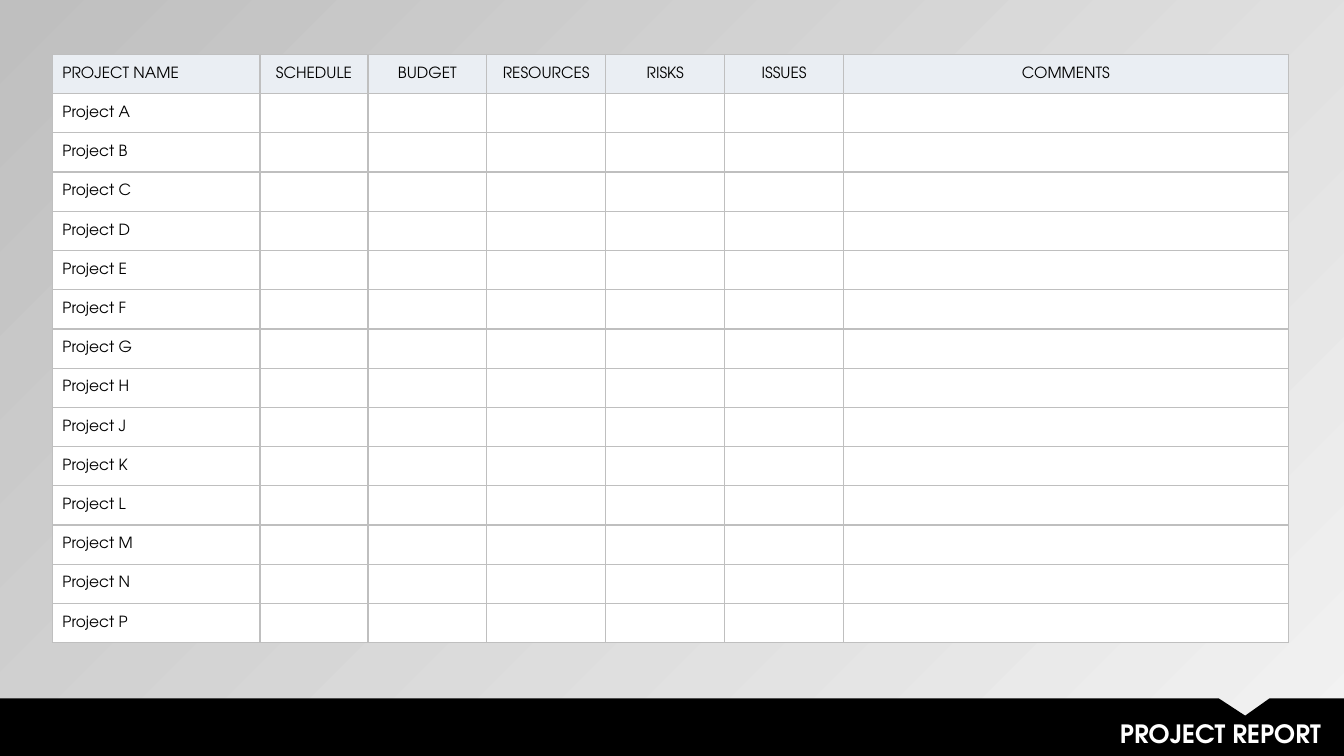
import dataclasses
import typing

import lxml.etree
import pptx
import pptx.dml.color
import pptx.enum.text
import pptx.oxml.ns
import pptx.util

Rgb = pptx.dml.color.RGBColor.from_string
Align = pptx.enum.text.PP_ALIGN
Anchor = pptx.enum.text.MSO_ANCHOR


@dataclasses.dataclass(frozen=True)
class Theme:
    font: str = "TeX Gyre Adventor"
    cell: int = 11
    title: int = 18
    black: str = "000000"
    white: str = "FFFFFF"
    head: str = "EAEEF3"
    rule: str = "BFBFBF"
    light: str = "F2F2F2"


@dataclasses.dataclass(frozen=True)
class Column:
    label: str
    share: float  # percent of slide width
    align: typing.Any = Align.CENTER


THEME = Theme()
COLUMNS = [
    Column("PROJECT NAME", 15.45, Align.LEFT),
    Column("SCHEDULE", 8.03),
    Column("BUDGET", 8.85),
    Column("RESOURCES", 8.85),
    Column("RISKS", 8.85),
    Column("ISSUES", 8.85),
    Column("COMMENTS", 33.08),
]
PROJECTS = [f"Project {letter}" for letter in "ABCDEFGHJKLMNP"]
ROW = 5.19  # percent of slide height
BAND = [(0, 92.4), (90.7, 92.4), (92.65, 94.67), (94.45, 92.4),
        (100, 92.4), (100, 100), (0, 100)]

deck = pptx.Presentation()
deck.slide_width = pptx.util.Inches(13.33)
deck.slide_height = pptx.util.Inches(7.5)
slide = deck.slides.add_slide(deck.slide_layouts[5])


def across(share: float) -> int:
    return round(deck.slide_width * share / 100)


def down(share: float) -> int:
    return round(deck.slide_height * share / 100)


def write(para, text: str, size: int, color: str, align, bold: bool = False) -> None:
    para.alignment = align
    run = para.add_run()
    run.text = text
    run.font.name = THEME.font
    run.font.size = pptx.util.Pt(size)
    run.font.bold = bold
    run.font.color.rgb = Rgb(color)


def border(cell) -> None:
    props = cell._tc.get_or_add_tcPr()
    qn = pptx.oxml.ns.qn
    for side in ("lnL", "lnR", "lnT", "lnB"):
        line = lxml.etree.SubElement(props, qn(f"a:{side}"), w=str(pptx.util.Pt(1)))
        fill = lxml.etree.SubElement(line, qn("a:solidFill"))
        lxml.etree.SubElement(fill, qn("a:srgbClr"), val=THEME.rule)


def paint(cell, text: str, color: str, align) -> None:
    border(cell)
    cell.fill.solid()
    cell.fill.fore_color.rgb = Rgb(color)
    cell.margin_top = cell.margin_bottom = 0
    cell.vertical_anchor = Anchor.MIDDLE
    if text:
        write(cell.text_frame.paragraphs[0], text, THEME.cell, THEME.black, align)


# Background gradient
back = slide.background.fill
back.gradient()
back.gradient_angle = 135
for stop, place, color in zip(back.gradient_stops, (0, 1), (THEME.light, THEME.rule)):
    stop.position = place
    stop.color.rgb = Rgb(color)

# Project table
count = len(PROJECTS) + 1
frame = slide.shapes.add_table(
    count, len(COLUMNS), across(3.9), down(7.2),
    across(sum(col.share for col in COLUMNS)), down(ROW * count))
table = frame.table
table.first_row = table.horz_banding = False
for row in table.rows:
    row.height = down(ROW)
for at, col in enumerate(COLUMNS):
    table.columns[at].width = across(col.share)
    paint(table.cell(0, at), col.label, THEME.head, col.align)
    for line, name in enumerate(PROJECTS, 1):
        paint(table.cell(line, at), "" if at else name, THEME.white, col.align)

# Notched footer band
points = [(across(x), down(y)) for x, y in BAND]
pen = slide.shapes.build_freeform(*points[0])
pen.add_line_segments(points[1:], close=True)
band = pen.convert_to_shape()
band.shadow.inherit = False
band.fill.solid()
band.fill.fore_color.rgb = Rgb(THEME.black)
band.line.fill.background()

# Title on the band
title = slide.shapes.title
title.left, title.top = across(31.06), down(94.4)
title.width, title.height = across(67.97), down(5.33)
box = title.text_frame
box.word_wrap = True
box.auto_size = pptx.enum.text.MSO_AUTO_SIZE.SHAPE_TO_FIT_TEXT
box.vertical_anchor = Anchor.TOP
write(box.paragraphs[0], "PROJECT REPORT", THEME.title, THEME.white, Align.RIGHT, True)
slide.shapes._spTree.append(title._element)

deck.save("out.pptx")
